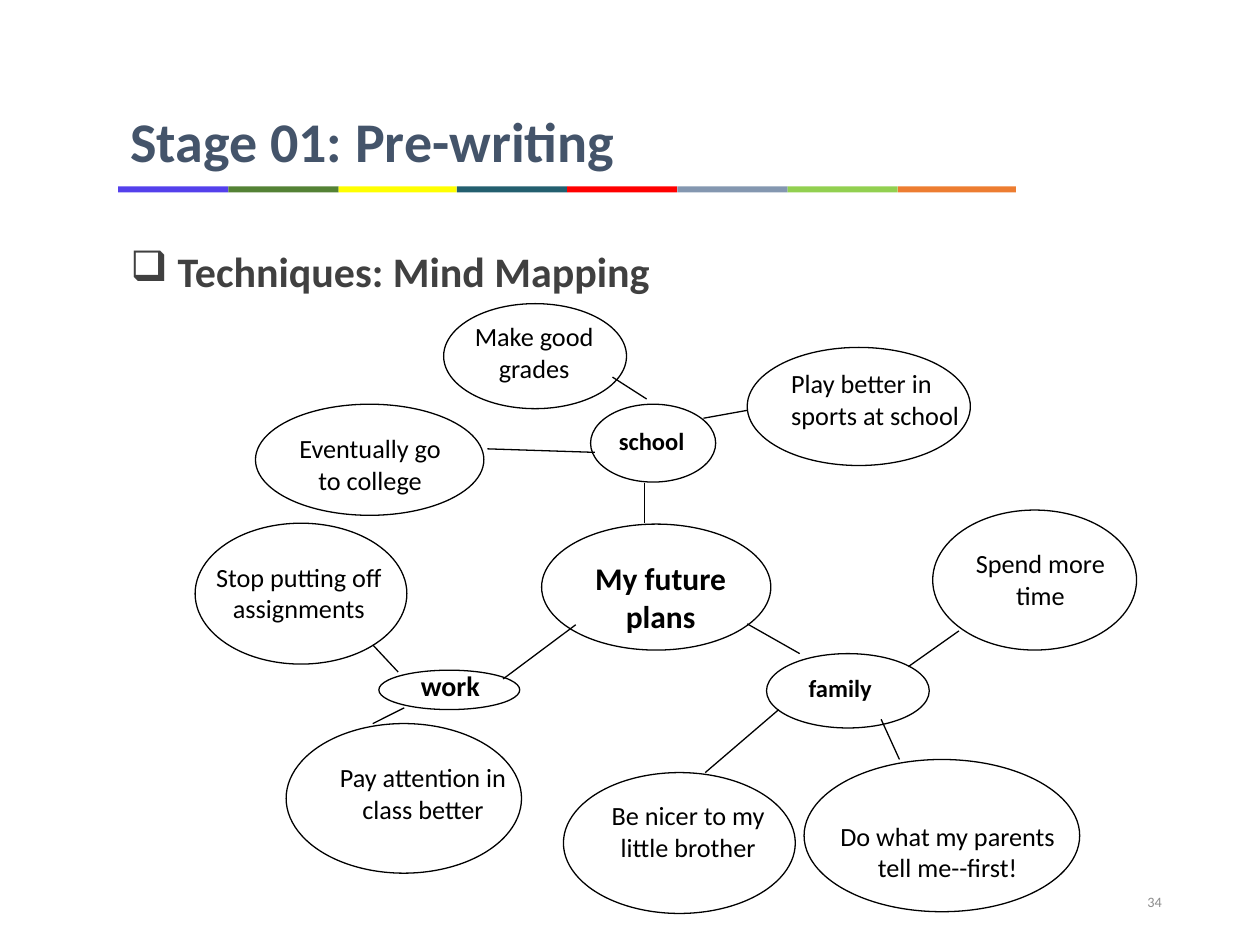
from lxml.etree import SubElement
from pptx import Presentation
from pptx.dml.color import RGBColor as Rgb
from pptx.enum.shapes import MSO_CONNECTOR as Link, MSO_SHAPE as Shape
from pptx.enum.text import MSO_ANCHOR as Anchor, PP_ALIGN as Align
from pptx.oxml.ns import qn
from pptx.util import Pt

THEME = {
    "font": "Calibri",
    "ink": "000000", "title": "44546A", "head": "404040", "page": "8C8C8C",
    "title_size": 32, "head_size": 24, "page_size": 8.2,
    "core_size": 18, "work_size": 16, "leaf_size": 15, "hub_size": 14,
    "line": 0.75,
}

TITLE = "Stage 01: Pre-writing"
HEAD = "Techniques: Mind Mapping"
PAGE = "34"

# Stripe colour and width, left to right
STRIPES = [
    ("5440EC", 63), ("548235", 63), ("FFFF00", 67.5), ("235F6F", 63),
    ("FF0000", 63), ("8497B0", 63), ("92D050", 63), ("ED7D31", 67.5),
]
STRIPE_LEFT, STRIPE_TOP, STRIPE_HIGH = 67.5, 106.5, 3.5

# Label, size key, bold, alignment, oval box, text box
BUBBLES = [
    ("My future plans", "core_size", True, Align.CENTER,
     (309.5, 299.5, 131, 72), (317, 316, 121, 51)),
    ("family", "hub_size", True, Align.LEFT,
     (438, 373.5, 93, 42.5), (455, 381, 78.5, 24.5)),
    ("school", "hub_size", True, Align.LEFT,
     (337.5, 231, 71.5, 44.5), (346.5, 240, 62.5, 24.5)),
    ("work", "work_size", True, Align.LEFT,
     (216.5, 383, 80.5, 22.5), (233.5, 378.5, 52.5, 26.5)),
    ("Be nicer to my little brother", "leaf_size", False, Align.CENTER,
     (322, 441.5, 132.5, 80.5), (332, 453.5, 122.5, 44)),
    ("Do what my parents tell me--first!", "leaf_size", False, Align.CENTER,
     (459.5, 434, 157.5, 87), (473, 465, 137, 44)),
    ("Spend more time", "leaf_size", False, Align.CENTER,
     (533, 291.5, 116.5, 80), (541.5, 309.5, 106, 44)),
    ("Eventually go to college", "leaf_size", False, Align.CENTER,
     (146, 231, 130.5, 63.5), (160, 243.5, 103, 44)),
    ("Make good grades", "leaf_size", False, Align.CENTER,
     (253.5, 173.5, 104.5, 60), (255.5, 179.5, 99.5, 44)),
    ("Play better in sports at school", "leaf_size", False, Align.LEFT,
     (427, 198.5, 127.5, 67.5), (445, 206.5, 112.5, 62)),
    ("Stop putting off assignments", "leaf_size", False, Align.CENTER,
     (111.5, 299, 121, 80.5), (115, 317, 111.5, 62)),
    ("Pay attention in class better", "leaf_size", False, Align.CENTER,
     (163.5, 413.5, 134.5, 85.5), (183.5, 431.5, 116.5, 44)),
]

# Start x, y and end x, y
LINKS = [
    (427, 356.5, 457, 373.5),    # plans - family
    (368.5, 299, 368.5, 276),    # plans - school
    (329, 357, 287.5, 388),      # plans - work
    (445, 405.5, 403, 441.5),    # family - brother
    (503.5, 411, 514, 434),      # family - parents
    (519, 381, 548, 360.5),      # family - time
    (340, 258.5, 278.5, 256.5),  # school - college
    (369.5, 228, 350, 215.5),    # school - grades
    (402, 239, 427, 234.5),      # school - sports
    (227.5, 384, 213, 368.5),    # work - assignments
    (213, 413.5, 231, 404.5),    # work - class
]


def color(name):
    return Rgb.from_string(THEME.get(name, name))


def place(box):
    return [Pt(n) for n in box]


def add_text(slide, text, box, size, ink="ink", bold=False,
             align=Align.LEFT, anchor=Anchor.TOP, bullet=None):
    frame = slide.shapes.add_textbox(*place(box)).text_frame
    frame.word_wrap = True
    frame.vertical_anchor = anchor
    para = frame.paragraphs[0]
    para.text = text
    para.alignment = align
    if bullet:
        props = para._p.get_or_add_pPr()
        props.set("marL", str(Pt(27)))
        props.set("indent", str(Pt(-27)))
        SubElement(props, qn("a:buChar")).set("char", bullet)
    font = para.font
    font.name, font.size, font.bold = THEME["font"], Pt(THEME[size]), bold
    font.color.rgb = color(ink)


def add_oval(slide, box):
    oval = slide.shapes.add_shape(Shape.OVAL, *place(box))
    oval.shadow.inherit = False
    oval.fill.background()
    oval.line.color.rgb = color("ink")
    oval.line.width = Pt(THEME["line"])


def add_link(slide, ends):
    link = slide.shapes.add_connector(Link.STRAIGHT, *place(ends))
    link.line.color.rgb = color("ink")
    link.line.width = Pt(THEME["line"])
    SubElement(link._element.spPr, qn("a:effectLst"))


def add_stripes(slide):
    left = STRIPE_LEFT
    for shade, wide in STRIPES:
        box = (left, STRIPE_TOP, wide, STRIPE_HIGH)
        bar = slide.shapes.add_shape(Shape.RECTANGLE, *place(box))
        bar.shadow.inherit = False
        bar.fill.solid()
        bar.fill.fore_color.rgb = color(shade)
        bar.line.fill.background()
        left += wide


def main():
    deck = Presentation()
    deck.slide_width, deck.slide_height = Pt(720), Pt(540)
    slide = deck.slides.add_slide(deck.slide_layouts[6])

    add_text(slide, TITLE, (67.5, 57.5, 544.5, 46), "title_size", "title", True)
    add_text(slide, PAGE, (509, 500.5, 162, 29), "page_size", "page",
             align=Align.RIGHT, anchor=Anchor.MIDDLE)
    add_stripes(slide)
    add_text(slide, HEAD, (67.5, 137, 618, 36), "head_size", "head", True,
             Align.JUSTIFY, bullet="❑")

    for label, size, bold, align, oval, box in BUBBLES:
        add_oval(slide, oval)
        add_text(slide, label, box, size, bold=bold, align=align)
    for ends in LINKS:
        add_link(slide, ends)

    deck.save("out.pptx")


if __name__ == "__main__":
    main()
